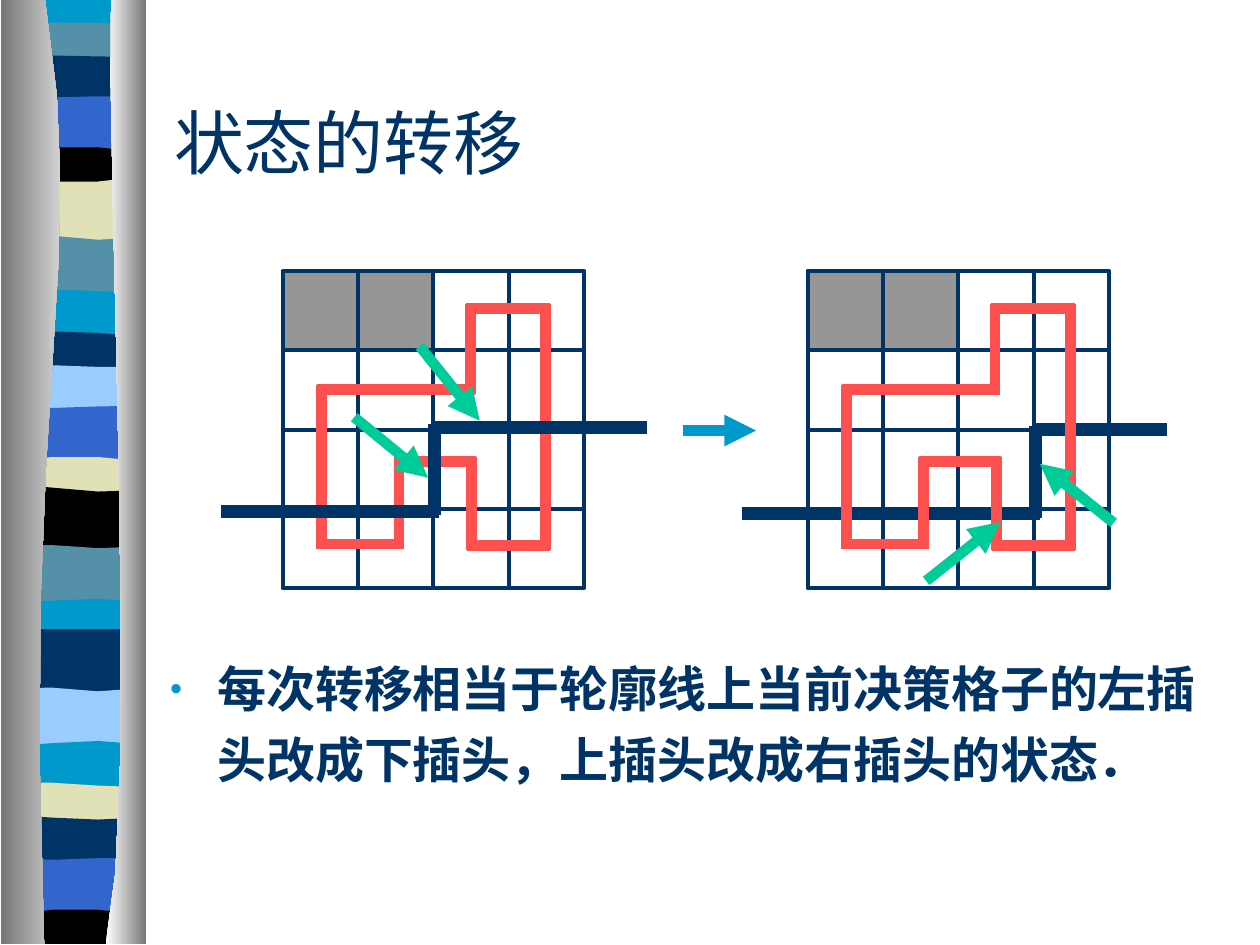
from itertools import pairwise, product

from lxml.etree import SubElement
from pptx import Presentation
from pptx.dml.color import RGBColor
from pptx.enum.shapes import MSO_CONNECTOR, MSO_SHAPE
from pptx.enum.text import MSO_ANCHOR
from pptx.oxml.ns import qn
from pptx.util import Cm, Pt

NAVY, CYAN, TEAL, BLUE = "003366", "0099CC", "5490A8", "3366CC"
SAND, SKY, BLACK, WHITE = "E1E1B7", "99CCFF", "000000", "FFFFFF"
GRAY, STEEL, SILVER, RED, GREEN = "969696", "767676", "D3D3D3", "FF5050", "00CC99"

BANDS = [
    (CYAN, (0, 0, 0, 0)),
    (TEAL, (0.53, 0.41, 0.43, 0.53)),
    (NAVY, (1.12, 1.1, 1.15, 1.15)),
    (BLUE, (1.96, 2, 1.9, 1.96)),
    (BLACK, (3.07, 2.92, 2.92, 3.07)),
    (SAND, (3.56, 3.71, 3.71, 3.56)),
    (TEAL, (4.78, 4.62, 4.98, 4.78)),
    (CYAN, (5.8, 5.85, 5.85, 5.92)),
    (NAVY, (6.7, 6.65, 6.7, 6.78)),
    (SKY, (7.39, 7.3, 7.45, 7.39)),
    (BLUE, (8.2, 8.28, 8.16, 8.18)),
    (SAND, (9.3, 9.17, 9.17, 9.3)),
    (BLACK, (9.75, 9.8, 10, 9.88)),
    (TEAL, (11, 10.9, 11.15, 11.02)),
    (CYAN, (12.14, 12.15, 11.98, 12.14)),
    (NAVY, (12.68, 12.68, 12.68, 12.68)),
    (SKY, (13.87, 13.75, 14.08, 13.87)),
    (CYAN, (15.05, 15, 14.85, 15.01)),
    (SAND, (15.78, 15.72, 15.88, 15.87)),
    (NAVY, (16.42, 16.48, 16.58, 16.48)),
    (BLUE, (17.3, 17.4, 17.25, 17.3)),
    (BLACK, (18.44, 18.29, 18.29, 18.44)),
]
LOOP = [(0.78, 2.39), (3.78, 2.39), (3.78, 0.76), (5.3, 0.76), (5.3, 5.54),
        (3.81, 5.54), (3.81, 3.84), (2.34, 3.84), (2.34, 5.51), (0.78, 5.51)]


def rgb(value):
    """Turn a hex string into a colour."""
    return RGBColor.from_string(value)


def bezier(xs, ys, steps):
    """Sample a cubic curve from its four control points."""
    def at(v, t):
        u = 1 - t
        return u**3 * v[0] + 3 * u * u * t * v[1] + 3 * u * t * t * v[2] + t**3 * v[3]
    return [(at(xs, i / steps), at(ys, i / steps)) for i in range(steps + 1)]


def outline(s, points):
    """Draw a closed outline without a line or shadow."""
    pts = [(Cm(x), Cm(y)) for x, y in points]
    fb = s.shapes.build_freeform(*pts[0])
    fb.add_line_segments(pts[1:], close=True)
    sp = fb.convert_to_shape()
    sp.line.fill.background()
    sp.shadow.inherit = False
    return sp


def line(s, x1, y1, x2, y2, color, width=6, arrow=False):
    """Draw a straight line, with an arrowhead at its end if asked."""
    c = s.shapes.add_connector(MSO_CONNECTOR.STRAIGHT, Cm(x1), Cm(y1), Cm(x2), Cm(y2))
    c.line.color.rgb = rgb(color)
    c.line.width = Pt(width)
    if arrow:
        SubElement(c.line._get_or_add_ln(), qn("a:tailEnd"), type="triangle")
    SubElement(c._element.spPr, qn("a:effectLst"))


def legs(s, x, y, points, color, width, lap):
    """Draw a path of level and upright legs that overlap at the corners."""
    for start, end in pairwise(points):
        (x1, y1), (x2, y2) = sorted((start, end))
        dx, dy = (lap, 0) if y1 == y2 else (0, lap)
        line(s, x + x1 - dx, y + y1 - dy, x + x2 + dx, y + y2 + dy, color, width)


def pillar(s, edge, outer, bottom, first, last):
    """Draw a shaded pillar between a curved edge and a straight side."""
    sp = outline(s, edge + [(outer, bottom), (outer, 0)])
    sp.fill.gradient()
    sp.fill.gradient_angle = 0
    for stop, color in zip(sp.fill.gradient_stops, (first, last)):
        stop.color.rgb = rgb(color)


def ribbon(s, x, w, h):
    """Draw the striped ribbon with a pillar on either side."""
    xs = [x + w * i / 3 for i in range(4)]
    bottoms = [max(ys) + 0.1 for _, ys in BANDS[1:]] + [h]
    for (color, ys), bottom in zip(BANDS, bottoms):
        steps = 1 if len(set(ys)) == 1 else 3
        sp = outline(s, bezier(xs, ys, steps) + [(x + w, bottom), (x, bottom)])
        sp.fill.solid()
        sp.fill.fore_color.rgb = rgb(color)
    left = bezier((0.91, 1.8, 0.43, 0.89), (0, 5.49, 7.52, h), 8)
    right = bezier((2.24, 2.13, 2.82, 2.13), (0, 3.18, 16.41, h), 8)
    pillar(s, left, 0.02, h, STEEL, SILVER)
    pillar(s, right, 2.95, h, WHITE, STEEL)


def cell(s, x, y, w, h, fill=None):
    """Draw one cell of a board."""
    sp = s.shapes.add_shape(MSO_SHAPE.RECTANGLE, Cm(x), Cm(y), Cm(w), Cm(h))
    sp.shadow.inherit = False
    sp.line.color.rgb = rgb(NAVY)
    sp.line.width = Pt(2.25)
    if fill:
        sp.fill.solid()
        sp.fill.fore_color.rgb = rgb(fill)
    else:
        sp.fill.background()


def board(s, x, y, contour, arrows, contour_on_top, w=1.52, h=1.6):
    """Draw a four by four board with its loop, contour line and arrows."""
    def draw_contour():
        legs(s, x, y, contour, NAVY, 7.5, 0.08)

    if not contour_on_top:
        draw_contour()
    blocked = [(0, 0), (0, 1)]
    for row, col in product(range(4), repeat=2):
        if (row, col) not in blocked:
            cell(s, x + col * w, y + row * h, w, h)
    legs(s, x, y, LOOP + LOOP[:1], RED, 6, 0.09)
    for row, col in blocked:
        cell(s, x + col * w, y + row * h, w, h, GRAY)
    if contour_on_top:
        draw_contour()
    for x1, y1, x2, y2 in arrows:
        line(s, x + x1, y + y1, x + x2, y + y2, GREEN, arrow=True)


def text(s, x, y, w, h, content, size, font, bold=False):
    """Place a wrapped text box and return its frame."""
    tf = s.shapes.add_textbox(Cm(x), Cm(y), Cm(w), Cm(h)).text_frame
    tf.word_wrap = True
    tf.text = content
    r = tf.paragraphs[0].runs[0]
    r.font.size, r.font.name, r.font.bold = Pt(size), font, bold
    r.font.color.rgb = rgb(NAVY)
    return tf


def bullet_text(s, x, y, w, h, content):
    """Place a bold bulleted paragraph."""
    p = text(s, x, y, w, h, content, 28, "Arial", True).paragraphs[0]
    p.line_spacing, p.space_before = 1.2, Pt(7)
    pPr = p._p.get_or_add_pPr()
    pPr.set("marL", str(Cm(0.95)))
    pPr.set("indent", str(Cm(-0.95)))
    SubElement(SubElement(pPr, qn("a:buClr")), qn("a:srgbClr"), val=CYAN)
    SubElement(pPr, qn("a:buSzPct"), val="70000")
    SubElement(pPr, qn("a:buFont"), typeface="Arial")
    SubElement(pPr, qn("a:buChar"), char="•")


prs = Presentation()
prs.slide_width, prs.slide_height = Cm(25.4), Cm(19.05)
s = prs.slides.add_slide(prs.slide_layouts[6])
ribbon(s, 0.15, 2.74, 19.03)
tf = text(s, 3.26, 1.27, 8.18, 3.18, "状态的转移", 40, "Times New Roman")
tf.vertical_anchor = MSO_ANCHOR.MIDDLE
board(s, 5.7, 5.46,
      [(-1.17, 4.85), (3.06, 4.85), (3.06, 3.16), (7.27, 3.16)],
      [(1.44, 2.95, 2.93, 4.17), (2.76, 1.52, 3.97, 3.02)], True)
line(s, 13.76, 8.68, 15.24, 8.68, CYAN, arrow=True)
board(s, 16.28, 5.46,
      [(-1.24, 4.9), (4.6, 4.9), (4.6, 3.2), (7.16, 3.2)],
      [(6.17, 5.08, 4.68, 3.89), (2.39, 6.25, 3.89, 5.06)], False)
bullet_text(s, 3.18, 12.92, 21.59, 3.18,
            "每次转移相当于轮廓线上当前决策格子的左插头改成下插头，上插头改成右插头的状态．")
prs.save("out.pptx")
